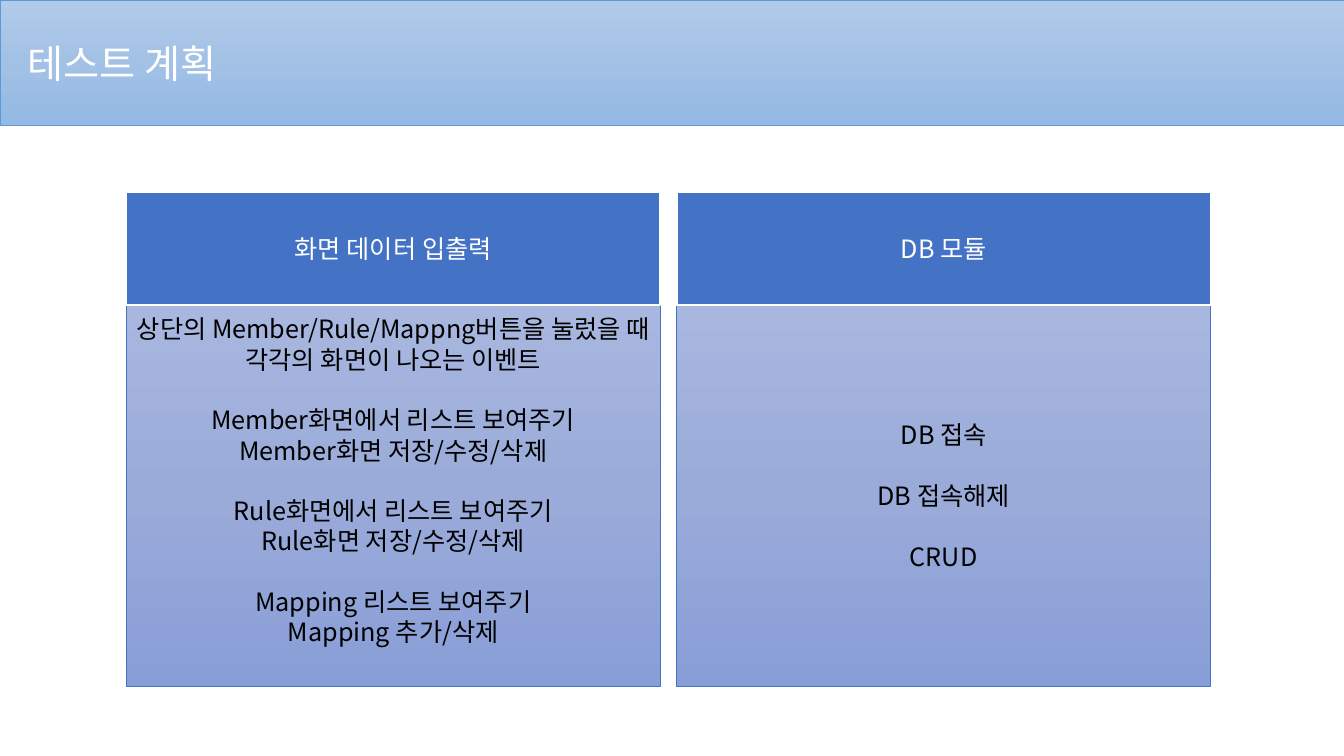
from lxml.etree import SubElement
from pptx import Presentation
from pptx.dml.color import RGBColor
from pptx.enum.shapes import MSO_SHAPE
from pptx.enum.text import MSO_ANCHOR, PP_ALIGN
from pptx.oxml import parse_xml
from pptx.oxml.ns import nsdecls, qn
from pptx.util import Inches, Pt

FONT = "Noto Sans CJK KR"
LINE_HEIGHT = 21.7
COLORS = {
    "white": "FFFFFF",
    "black": "000000",
    "header": "4472C4",
    "banner_line": "5B9BD5",
}
GRADIENTS = {
    "banner": ("B1CBE9", "A3C1E5", "93B9E4"),
    "body": ("A8B7DF", "9AABD9", "889ED7"),
}
COLUMN_LEFT, COLUMN_STEP, COLUMN_WIDTH = 1.25, 5.46, 5.3
HEADER_TOP, HEADER_HEIGHT = 1.9, 1.13
BODY_TOP, BODY_HEIGHT = 3.02, 3.79
COLUMNS = [
    (
        "화면 데이터 입출력",
        [
            ["상단의 Member/Rule/Mappng버튼을 눌렀을 때 각각의 화면이 나오는 이벤트"],
            ["Member화면에서 리스트 보여주기", "Member화면 저장/수정/삭제"],
            ["Rule화면에서 리스트 보여주기", "Rule화면 저장/수정/삭제"],
            ["Mapping 리스트 보여주기", "Mapping 추가/삭제"],
        ],
        0.35,
    ),
    ("DB 모듈", [["DB 접속"], ["DB 접속해제"], ["CRUD"]], 0.05),
]


def color(name):
    return RGBColor.from_string(COLORS[name])


def fill_gradient(shape, name):
    stops = "".join(
        f'<a:gs pos="{index * 50000}"><a:srgbClr val="{value}"/></a:gs>'
        for index, value in enumerate(GRADIENTS[name])
    )
    shape.fill.background()
    no_fill = shape._element.spPr.find(qn("a:noFill"))
    gradient = parse_xml(
        f'<a:gradFill {nsdecls("a")} rotWithShape="1"><a:gsLst>{stops}</a:gsLst>'
        '<a:lin ang="5400000" scaled="0"/></a:gradFill>'
    )
    no_fill.getparent().replace(no_fill, gradient)


def set_line(shape, name, width):
    shape.line.color.rgb = color(name)
    shape.line.width = Pt(width)


def format_paragraph(paragraph, size, color_name, alignment):
    paragraph.alignment = alignment
    paragraph.font.name = FONT
    paragraph.font.size = Pt(size)
    paragraph.font.color.rgb = color(color_name)
    for run in paragraph.runs:
        SubElement(run._r.get_or_add_rPr(), qn("a:ea"), typeface=FONT)


def add_box(slide, left, top, height, groups, color_name):
    shape = slide.shapes.add_shape(
        MSO_SHAPE.RECTANGLE, Inches(left), Inches(top), Inches(COLUMN_WIDTH), Inches(height)
    )
    shape.shadow.inherit = False
    frame = shape.text_frame
    frame.word_wrap = True
    frame.vertical_anchor = MSO_ANCHOR.MIDDLE
    frame.text = "\n".join(text for group in groups for text in group)
    paragraphs = iter(frame.paragraphs)
    for group_index, group in enumerate(groups):
        for text_index in range(len(group)):
            paragraph = next(paragraphs)
            format_paragraph(paragraph, 18, color_name, PP_ALIGN.CENTER)
            if group_index and not text_index:
                paragraph.space_before = Pt(LINE_HEIGHT)
    return shape


def add_column(slide, left, heading, groups, bottom_margin):
    body = add_box(slide, left, BODY_TOP, BODY_HEIGHT, groups, "black")
    body.text_frame.margin_bottom = Inches(bottom_margin)
    fill_gradient(body, "body")
    set_line(body, "header", 0.5)
    header = add_box(slide, left, HEADER_TOP, HEADER_HEIGHT, [[heading]], "white")
    header.fill.solid()
    header.fill.fore_color.rgb = color("header")
    set_line(header, "white", 1.5)


def format_title(slide, text):
    title = slide.shapes.title
    title.left, title.top = Inches(0), Inches(0)
    title.width, title.height = Inches(13.33), Inches(1.24)
    fill_gradient(title, "banner")
    set_line(title, "banner_line", 0.5)
    frame = title.text_frame
    frame.text = text
    frame.vertical_anchor = MSO_ANCHOR.MIDDLE
    frame.margin_left = Inches(0.27)
    format_paragraph(frame.paragraphs[0], 28, "white", PP_ALIGN.LEFT)


def main():
    presentation = Presentation()
    presentation.slide_width = Inches(13.33)
    presentation.slide_height = Inches(7.5)
    slide = presentation.slides.add_slide(presentation.slide_layouts[5])
    format_title(slide, "테스트 계획")
    for index, (heading, groups, bottom_margin) in enumerate(COLUMNS):
        add_column(slide, COLUMN_LEFT + index * COLUMN_STEP, heading, groups, bottom_margin)
    presentation.save("out.pptx")


if __name__ == "__main__":
    main()
